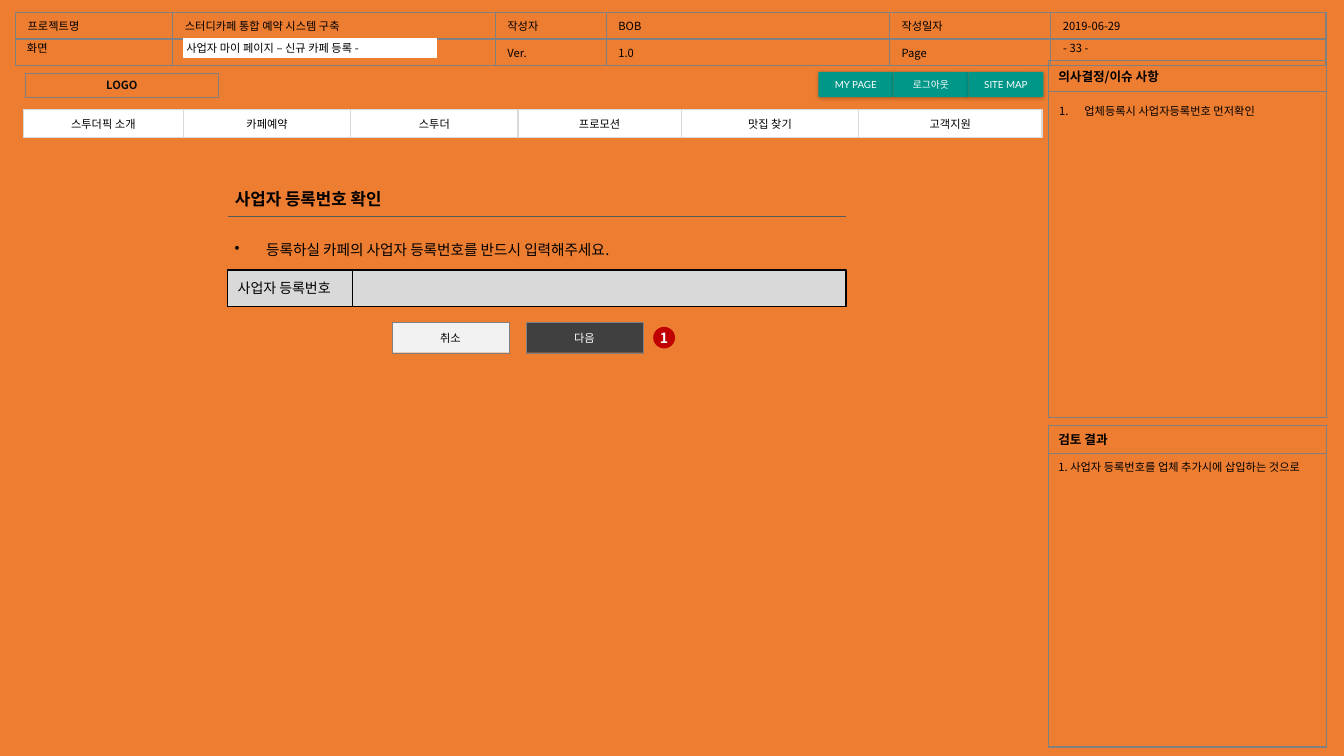
from lxml import etree
from pptx import Presentation
from pptx.dml.color import RGBColor
from pptx.enum.shapes import MSO_CONNECTOR, MSO_SHAPE
from pptx.enum.text import MSO_ANCHOR, MSO_AUTO_SIZE, PP_ALIGN
from pptx.oxml.ns import qn
from pptx.util import Pt

LEFT, CENTER, JUSTIFY = PP_ALIGN.LEFT, PP_ALIGN.CENTER, PP_ALIGN.JUSTIFY
TOP, MIDDLE = MSO_ANCHOR.TOP, MSO_ANCHOR.MIDDLE
RECT, OVAL, ROUNDED = MSO_SHAPE.RECTANGLE, MSO_SHAPE.OVAL, MSO_SHAPE.ROUNDED_RECTANGLE
KOREAN = "Noto Sans CJK KR"
BLACK, WHITE, GRAY = "000000", "FFFFFF", "808080"
color = RGBColor.from_string


def write(frame, text, size=8, bold=False, ink=BLACK, align=LEFT, font=KOREAN):
    frame.text = text
    para = frame.paragraphs[0]
    para.alignment = align
    para.line_spacing = 1.0
    for span in para.runs:
        span.font.size = Pt(size)
        span.font.bold = bold
        span.font.color.rgb = color(ink)
        span.font.name = font
        etree.SubElement(span.font._element, qn("a:ea"), typeface=KOREAN)
    if not text:
        etree.SubElement(para._p, qn("a:endParaRPr"), sz=str(size * 100))
    return para


def add_grid(left, top, widths, heights, border, side=7.2, fill=None):
    table = page.shapes.add_table(len(heights), len(widths), Pt(left), Pt(top),
                                  Pt(sum(widths)), Pt(sum(heights))).table
    table.first_row = table.horz_banding = False
    for column, width in zip(table.columns, widths):
        column.width = Pt(width)
    for row, height in zip(table.rows, heights):
        row.height = Pt(height)
    for cell in table.iter_cells():
        cell.margin_left = cell.margin_right = Pt(side)
        for edge in ("lnL", "lnR", "lnT", "lnB"):
            line = etree.SubElement(cell._tc.get_or_add_tcPr(), qn("a:" + edge), w="12700")
            solid = etree.SubElement(line, qn("a:solidFill"))
            etree.SubElement(solid, qn("a:srgbClr"), val=border)
        if fill:
            cell.fill.solid()
            cell.fill.fore_color.rgb = color(fill)
        else:
            cell.fill.background()
        write(cell.text_frame, "")
    return table


deck = Presentation()
deck.slide_width, deck.slide_height = Pt(960), Pt(540)
page = deck.slides.add_slide(deck.slide_layouts[5])
page.background.fill.solid()
page.background.fill.fore_color.rgb = color("ED7D31")

# Section title
title = page.shapes.title
title.left, title.top, title.width, title.height = Pt(160.6), Pt(131), Pt(146), Pt(21.8)
write(title.text_frame, "사업자 등록번호 확인", 12, True)
title.text_frame.vertical_anchor = TOP
title.text_frame.auto_size = MSO_AUTO_SIZE.NONE

# Document header
header = add_grid(11.2, 9, [112.3, 230.4, 79.2, 202.3, 115.2, 196.6], [17, 17], GRAY, 8.6)
header_rows = [
    ["프로젝트명", "스터디카페 통합 예약 시스템 구축", "작성자", "BOB", "작성일자", "2019-06-29"],
    ["", "", "Ver.", "1.0", "Page", ""],
]
for row, labels in enumerate(header_rows):
    for column, label in enumerate(labels):
        if label:
            write(header.cell(row, column).text_frame, label,
                  align=JUSTIFY if (row, column) == (0, 1) else LEFT)

# Side panels: top, row heights, heading, note
panels = [
    (43.2, [22, 233.2], "의사결정/이슈 사항", ""),
    (303.8, [20.2, 209.5], "검토 결과", "1. 사업자 등록번호를 업체 추가시에 삽입하는 것으로"),
]
for top, heights, heading, note in panels:
    panel = add_grid(748.8, top, [198.7], heights, GRAY)
    panel.cell(0, 0).vertical_anchor = MIDDLE
    write(panel.cell(0, 0).text_frame, heading, 9, True)
    if note:
        write(panel.cell(1, 0).text_frame, note)

# Site menu
menu = add_grid(16.6, 78.5, [114.5, 119.5, 119.5, 116.6, 126.7, 131], [20], "D9D9D9", 8.6, WHITE)
menu_labels = ["스투더픽 소개", "카페예약", "스투더", "프로모션", "맛집 찾기", "고객지원"]
for cell, label in zip(menu.iter_cells(), menu_labels):
    cell.vertical_anchor = MIDDLE
    write(cell.text_frame, label, align=CENTER)

# Boxes: kind, position, fill, line, line width, side inset, text, size, bold, ink, align, font
boxes = [
    (RECT, (18, 52.4, 138.2, 17.2), None, GRAY, 0.75, 7.2, "LOGO", 8, True, "0D0D0D", CENTER, KOREAN),
    (RECT, (131, 27.4, 180.7, 13.7), WHITE, WHITE, 1, 7.2, "", 8, False, BLACK, LEFT, KOREAN),
    (RECT, (162.7, 193, 441.7, 25.9), "D9D9D9", BLACK, 1, 7.2, "사업자 등록번호", 10, False, BLACK, LEFT, KOREAN),
    (RECT, (375.8, 230.4, 83.5, 21.6), "404040", GRAY, 0.25, 7.2, "다음", 8, False, WHITE, CENTER, KOREAN),
    (RECT, (280.1, 230.4, 83.5, 21.6), "F2F2F2", GRAY, 0.25, 7.2, "취소", 8, False, BLACK, CENTER, KOREAN),
    (OVAL, (466.6, 233.5, 15.6, 15.4), "C00000", None, 0, 0, "1", 10, True, WHITE, CENTER, KOREAN),
]
for index, label in enumerate(["MY PAGE", "로그아웃", "SITE MAP"]):
    boxes.append((ROUNDED, (584.5 + 53.6 * index, 51.3, 53.6, 18), "009688", None, 0, 5.8,
                  label, 7, False, WHITE, CENTER, "Lato"))
for kind, place, fill, line, weight, side, text, *style in boxes:
    box = page.shapes.add_shape(kind, *map(Pt, place))
    box.shadow.inherit = False
    if fill:
        box.fill.solid()
        box.fill.fore_color.rgb = color(fill)
    else:
        box.fill.background()
    if line:
        box.line.color.rgb = color(line)
        box.line.width = Pt(weight)
    else:
        box.line.fill.background()
    frame = box.text_frame
    frame.margin_left = frame.margin_right = Pt(side)
    frame.vertical_anchor = MIDDLE
    if text:
        write(frame, text, *style)
    if kind == ROUNDED:
        box.adjustments[0] = 0.05
        effects = box._element.spPr.find(qn("a:effectLst"))
        shadow = etree.SubElement(effects, qn("a:outerShdw"), blurRad="38100", dist="12700", dir="5400000")
        shade = etree.SubElement(shadow, qn("a:srgbClr"), val=BLACK)
        etree.SubElement(shade, qn("a:alpha"), val="25000")

# Title rule and field divider
rules = [(162.7, 154.8, 604.1, 154.8, "595959", 0.5), (252, 218.9, 252, 193, BLACK, 1)]
for *ends, ink, weight in rules:
    rule = page.shapes.add_connector(MSO_CONNECTOR.STRAIGHT, *map(Pt, ends))
    rule.line.color.rgb = color(ink)
    rule.line.width = Pt(weight)
    etree.SubElement(rule._element.spPr, qn("a:effectLst"))

# Free text: position, text, size, anchor, wrap, hanging indent, marker tag and attributes
texts = [
    ((752.4, 25.9, 77, 17.3), "- 33 -", 8, TOP, True, 0, None, {}),
    ((126, 27.4, 188.6, 14.4), "사업자 마이 페이지 – 신규 카페 등록 -", 8, MIDDLE, True, 0, None, {}),
    ((12.2, 25.9, 29.5, 17.3), "화면", 8, TOP, False, 0, None, {}),
    ((749.5, 71.3, 180.7, 96.5), "업체등록시 사업자등록번호 먼저확인", 8, TOP, True, 18,
     "a:buAutoNum", {"type": "arabicPeriod"}),
    ((160.6, 168.5, 486.7, 20.9), "등록하실 카페의 사업자 등록번호를 반드시 입력해주세요.", 10.5, TOP, True, 22.5,
     "a:buChar", {"char": "•"}),
]
for place, text, size, anchor, wrap, indent, marker, attributes in texts:
    frame = page.shapes.add_textbox(*map(Pt, place)).text_frame
    frame.word_wrap = wrap
    frame.vertical_anchor = anchor
    para = write(frame, text, size)
    if marker:
        settings = para._p.get_or_add_pPr()
        settings.set("marL", str(Pt(indent)))
        settings.set("indent", str(-Pt(indent)))
        etree.SubElement(settings, qn(marker), **attributes)

deck.save("out.pptx")
